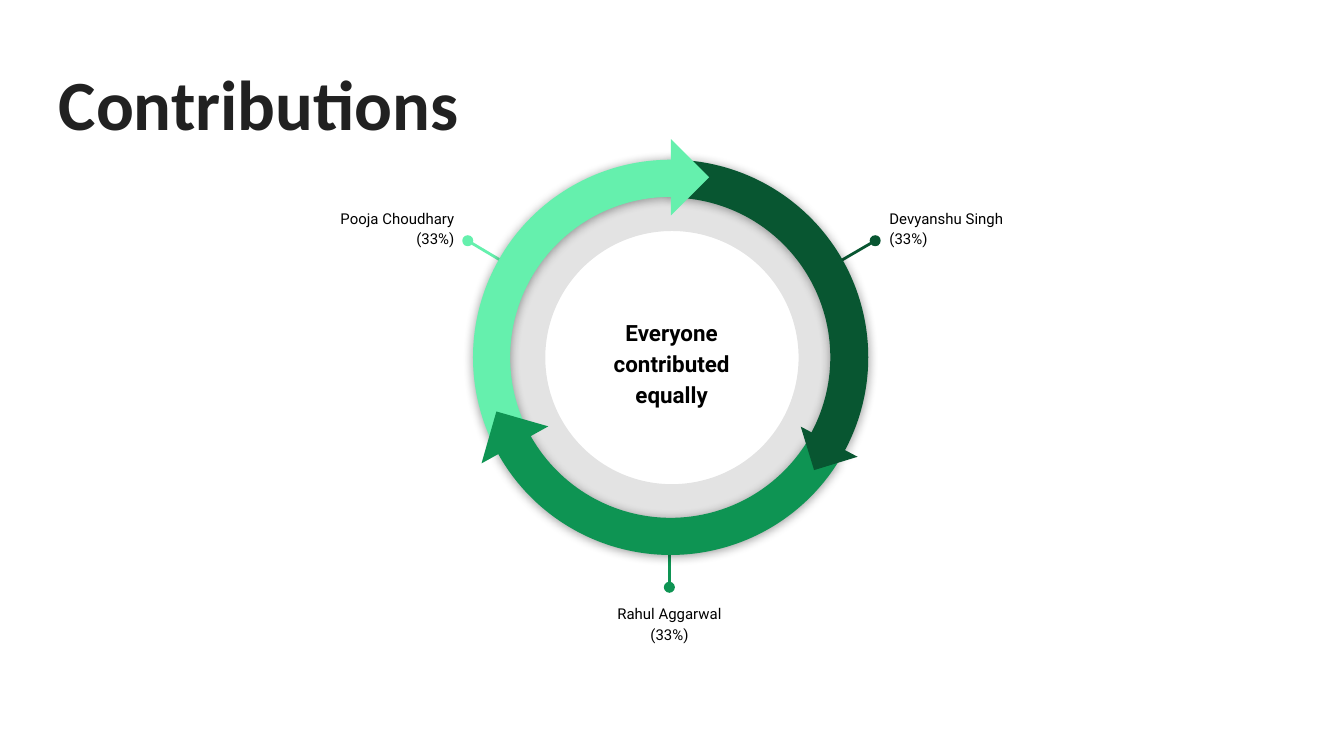
from dataclasses import dataclass

from lxml import etree
from pptx import Presentation
from pptx import util as u
from pptx.dml.color import RGBColor
from pptx.enum import shapes, text
from pptx.oxml import ns


@dataclass(frozen=True)
class Theme:
    ink: str = "212121"
    black: str = "000000"
    dark: str = "085631"
    light: str = "65F0AD"
    green: str = "0E9453"
    heading_font: str = "Calibri"
    body_font: str = "Roboto"
    title_size: float = 37.8
    center_size: float = 12
    label_size: float = 8


theme = Theme()
LEFT, CENTER, RIGHT = text.PP_ALIGN.LEFT, text.PP_ALIGN.CENTER, text.PP_ALIGN.RIGHT
TOP, MIDDLE = text.MSO_ANCHOR.TOP, text.MSO_ANCHOR.MIDDLE


def add_text(parent, box, lines, size, font, color, bold=False, align=LEFT, anchor=TOP, spacing=1.15):
    frame = parent.add_textbox(*map(u.Cm, box)).text_frame
    frame.word_wrap = True
    frame.vertical_anchor = anchor
    frame.margin_left = frame.margin_right = frame.margin_top = frame.margin_bottom = u.Cm(0.25)
    for index, line in enumerate(lines):
        paragraph = frame.add_paragraph() if index else frame.paragraphs[0]
        paragraph.alignment = align
        paragraph.line_spacing = spacing
        run = paragraph.add_run()
        run.text = line
        run.font.name = font
        run.font.size = u.Pt(size)
        run.font.bold = bold
        run.font.color.rgb = RGBColor.from_string(color)


def add_filled(kind, left, top, side, color, rotation=0, adjustments=()):
    shape = slide.shapes.add_shape(kind, u.Cm(left), u.Cm(top), u.Cm(side), u.Cm(side))
    shape.shadow.inherit = False
    shape.fill.solid()
    shape.fill.fore_color.rgb = RGBColor.from_string(color)
    shape.line.fill.background()
    shape.rotation = rotation
    for index, value in enumerate(adjustments):
        shape.adjustments[index] = value
    return shape


presentation = Presentation()
presentation.slide_width = u.Cm(25.4)
presentation.slide_height = u.Cm(14.29)
slide = presentation.slides.add_slide(presentation.slide_layouts[6])

add_text(slide.shapes, (0.86, 0.81, 23.67, 2.24), ["Contributions"], theme.title_size,
         theme.heading_font, theme.ink, bold=True, anchor=MIDDLE, spacing=1)

ring = add_filled(shapes.MSO_SHAPE.DONUT, 9.17, 3.23, 7.06, theme.black, adjustments=[0.161])
ring_color = ring.fill._xPr.find(".//" + ns.qn("a:srgbClr"))
etree.SubElement(ring_color, ns.qn("a:alpha"), val="11000")

contributors = [
    ("Pooja Choudhary", theme.light, (8.84, 4.55, 10.03, 5.26), (4.67, 3.66), RIGHT),
    ("Devyanshu Singh", theme.dark, (16.54, 4.55, 15.32, 5.26), (16.56, 3.66), LEFT),
    ("Rahul Aggarwal", theme.green, (12.65, 11.1, 12.65, 9.83), (10.57, 11.13), CENTER),
]
for name, color, ends, corner, align in contributors:
    group = slide.shapes.add_group_shape()
    pointer = group.shapes.add_connector(shapes.MSO_CONNECTOR.STRAIGHT, *map(u.Cm, ends))
    pointer.line.color.rgb = RGBColor.from_string(color)
    pointer.line.width = u.Pt(1.5)
    etree.SubElement(pointer.line._get_or_add_ln(), ns.qn("a:headEnd"), type="oval")
    etree.SubElement(pointer._element.spPr, ns.qn("a:effectLst"))
    add_text(group.shapes, (*corner, 4.17, 1.85), [name, "(33%)"], theme.label_size,
             theme.body_font, theme.black, align=align)

add_text(slide.shapes, (10.69, 5.72, 4.01, 2.24), ["Everyone contributed equally"],
         theme.center_size, theme.body_font, theme.black, bold=True, align=CENTER, anchor=MIDDLE)

arcs = [
    (theme.dark, 30, False, (144.14, 0.01, 0.096)),
    (theme.light, 330, True, (143.49, 214.73, 0.094)),
    (theme.green, 210, True, (143.16, 215.03, 0.094)),
]
for color, rotation, flipped, adjustments in arcs:
    arc = add_filled(shapes.MSO_SHAPE.BLOCK_ARC, 8.94, 3.02, 7.47, color, rotation, adjustments)
    properties = arc._element.spPr
    if flipped:
        properties.find(ns.qn("a:xfrm")).set("flipH", "1")
    shadow = etree.SubElement(properties.find(ns.qn("a:effectLst")), ns.qn("a:outerShdw"),
                              blurRad=str(u.Pt(5.6)), dist=str(u.Pt(0.8)), dir="5400000",
                              algn="ctr", rotWithShape="0")
    shadow_color = etree.SubElement(shadow, ns.qn("a:srgbClr"), val=theme.black)
    etree.SubElement(shadow_color, ns.qn("a:alpha"), val="40000")

arrow_tips = [
    (12.17, 2.84, 1.02, theme.light, 225),
    (15.24, 7.92, 0.86, theme.dark, 342.9),
    (9.22, 7.9, 1.02, theme.green, 106),
]
for tip in arrow_tips:
    add_filled(shapes.MSO_SHAPE.RIGHT_TRIANGLE, *tip)

presentation.save("out.pptx")
